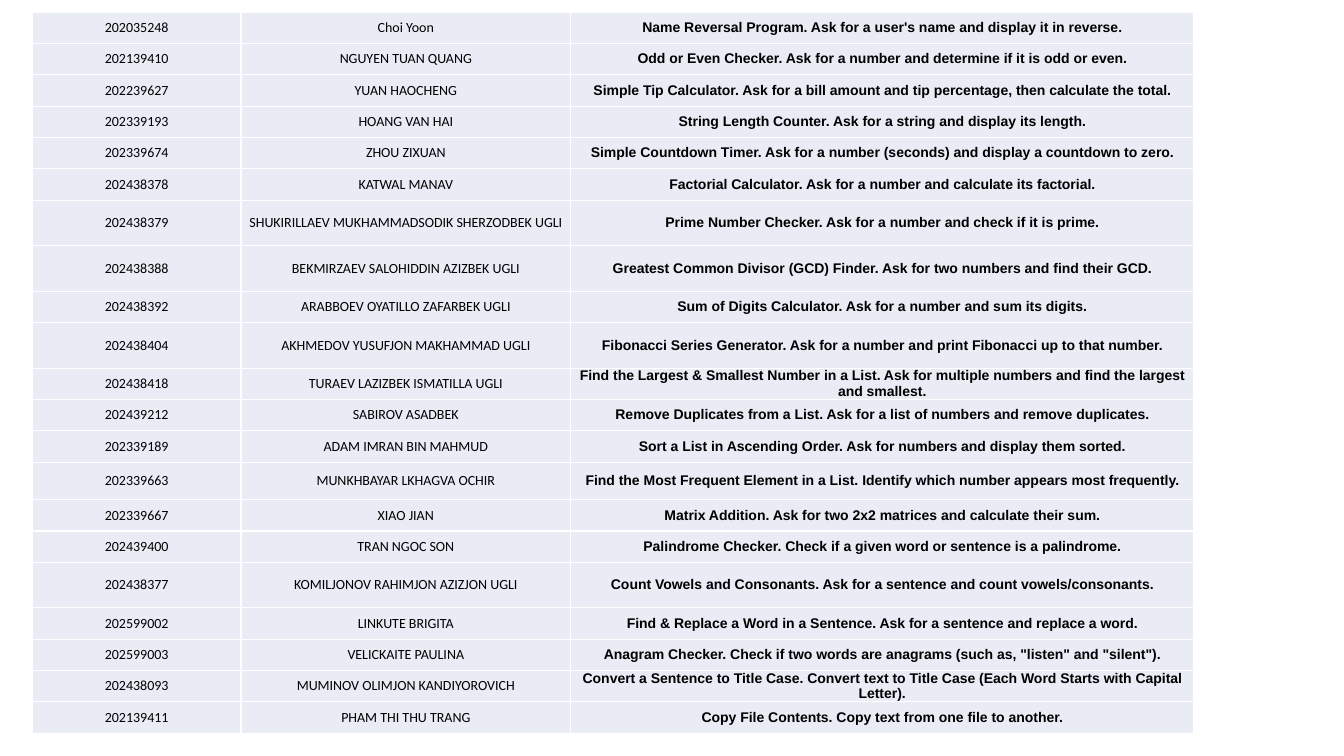
from lxml import etree
from pptx import Presentation
from pptx import util as u
from pptx.dml.color import RGBColor
from pptx.enum import text

HUES = {"cell": "E9EBF5", "rule": "FFFFFF", "ink": "000000"}
COLS, ROWS = 1333, 750  # fine grid over the slide
NS = "http://schemas.openxmlformats.org/drawingml/2006/main"

# Student number, student name, task
TASKS = [
    ("202035248", "Choi Yoon", "Name Reversal Program. Ask for a user's name and display it in reverse."),
    ("202139410", "NGUYEN TUAN QUANG", "Odd or Even Checker. Ask for a number and determine if it is odd or even."),
    ("202239627", "YUAN HAOCHENG",
     "Simple Tip Calculator. Ask for a bill amount and tip percentage, then calculate the total."),
    ("202339193", "HOANG VAN HAI", "String Length Counter. Ask for a string and display its length."),
    ("202339674", "ZHOU ZIXUAN",
     "Simple Countdown Timer. Ask for a number (seconds) and display a countdown to zero."),
    ("202438378", "KATWAL MANAV", "Factorial Calculator. Ask for a number and calculate its factorial."),
    ("202438379", "SHUKIRILLAEV MUKHAMMADSODIK SHERZODBEK UGLI",
     "Prime Number Checker. Ask for a number and check if it is prime."),
    ("202438388", "BEKMIRZAEV SALOHIDDIN AZIZBEK UGLI",
     "Greatest Common Divisor (GCD) Finder. Ask for two numbers and find their GCD."),
    ("202438392", "ARABBOEV OYATILLO ZAFARBEK UGLI",
     "Sum of Digits Calculator. Ask for a number and sum its digits."),
    ("202438404", "AKHMEDOV YUSUFJON MAKHAMMAD UGLI",
     "Fibonacci Series Generator. Ask for a number and print Fibonacci up to that number."),
    ("202438418", "TURAEV LAZIZBEK ISMATILLA UGLI",
     "Find the Largest & Smallest Number in a List. "
     "Ask for multiple numbers and find the largest and smallest."),
    ("202439212", "SABIROV ASADBEK",
     "Remove Duplicates from a List. Ask for a list of numbers and remove duplicates."),
    ("202339189", "ADAM IMRAN BIN MAHMUD",
     "Sort a List in Ascending Order. Ask for numbers and display them sorted."),
    ("202339663", "MUNKHBAYAR LKHAGVA OCHIR",
     "Find the Most Frequent Element in a List. Identify which number appears most frequently."),
    ("202339667", "XIAO JIAN", "Matrix Addition. Ask for two 2x2 matrices and calculate their sum."),
    ("202439400", "TRAN NGOC SON", "Palindrome Checker. Check if a given word or sentence is a palindrome."),
    ("202438377", "KOMILJONOV RAHIMJON AZIZJON UGLI",
     "Count Vowels and Consonants. Ask for a sentence and count vowels/consonants."),
    ("202599002", "LINKUTE BRIGITA",
     "Find & Replace a Word in a Sentence. Ask for a sentence and replace a word."),
    ("202599003", "VELICKAITE PAULINA",
     'Anagram Checker. Check if two words are anagrams (such as, "listen" and "silent").'),
    ("202438093", "MUMINOV OLIMJON KANDIYOROVICH",
     "Convert a Sentence to Title Case. "
     "Convert text to Title Case (Each Word Starts with Capital Letter)."),
    ("202139411", "PHAM THI THU TRANG", "Copy File Contents. Copy text from one file to another."),
]
TALL = {6: 45, 7: 45, 9: 45, 13: 37, 16: 45}  # row index: height weight
FONTS = [("Calibri", False), ("Calibri", False), ("Arial", True)]


class Sheet:
    def __init__(self, deck):
        self.slide = deck.slides.add_slide(deck.slide_layouts[6])
        self.unit_x = deck.slide_width / COLS
        self.unit_y = deck.slide_height / ROWS
        self.size = u.Pt(10)

    def table(self, x, y, wide, high, data, widths, heights, fonts):
        box = [round(v) for v in (x * self.unit_x, y * self.unit_y,
                                  wide * self.unit_x, high * self.unit_y)]
        grid = self.slide.shapes.add_table(len(data), len(widths), *box).table
        for col, part in zip(grid.columns, widths):
            col.width = round(box[2] * part / sum(widths))
        for row, part in zip(grid.rows, heights):
            row.height = round(box[3] * part / sum(heights))
        for r, line in enumerate(data):
            for c, words in enumerate(line):
                self.cell(grid.cell(r, c), words, *fonts[c])

    def cell(self, cell, words, face, bold):
        cell.margin_left = cell.margin_right = cell.margin_top = cell.margin_bottom = 0
        cell.vertical_anchor = text.MSO_ANCHOR.MIDDLE
        para = cell.text_frame.paragraphs[0]
        para.text = words
        para.alignment = text.PP_ALIGN.CENTER
        font = para.runs[0].font
        font.name, font.size, font.bold = face, self.size, bold
        font.color.rgb = RGBColor.from_string(HUES["ink"])
        self.rules(cell)
        cell.fill.solid()
        cell.fill.fore_color.rgb = RGBColor.from_string(HUES["cell"])

    def rules(self, cell):
        props = cell._tc.get_or_add_tcPr()
        for side in "LRTB":
            line = etree.SubElement(props, f"{{{NS}}}ln{side}", w=str(u.Pt(1)))
            fill = etree.SubElement(line, f"{{{NS}}}solidFill")
            etree.SubElement(fill, f"{{{NS}}}srgbClr", val=HUES["rule"])


def main():
    deck = Presentation()
    deck.slide_width, deck.slide_height = u.Inches(13.33), u.Inches(7.5)
    sheet = Sheet(deck)
    # Task list
    heights = [TALL.get(r, 31) for r in range(len(TASKS))]
    sheet.table(32, 12, 1152, 716, TASKS, [207, 327, 618], heights, FONTS)
    deck.save("out.pptx")


if __name__ == "__main__":
    main()
